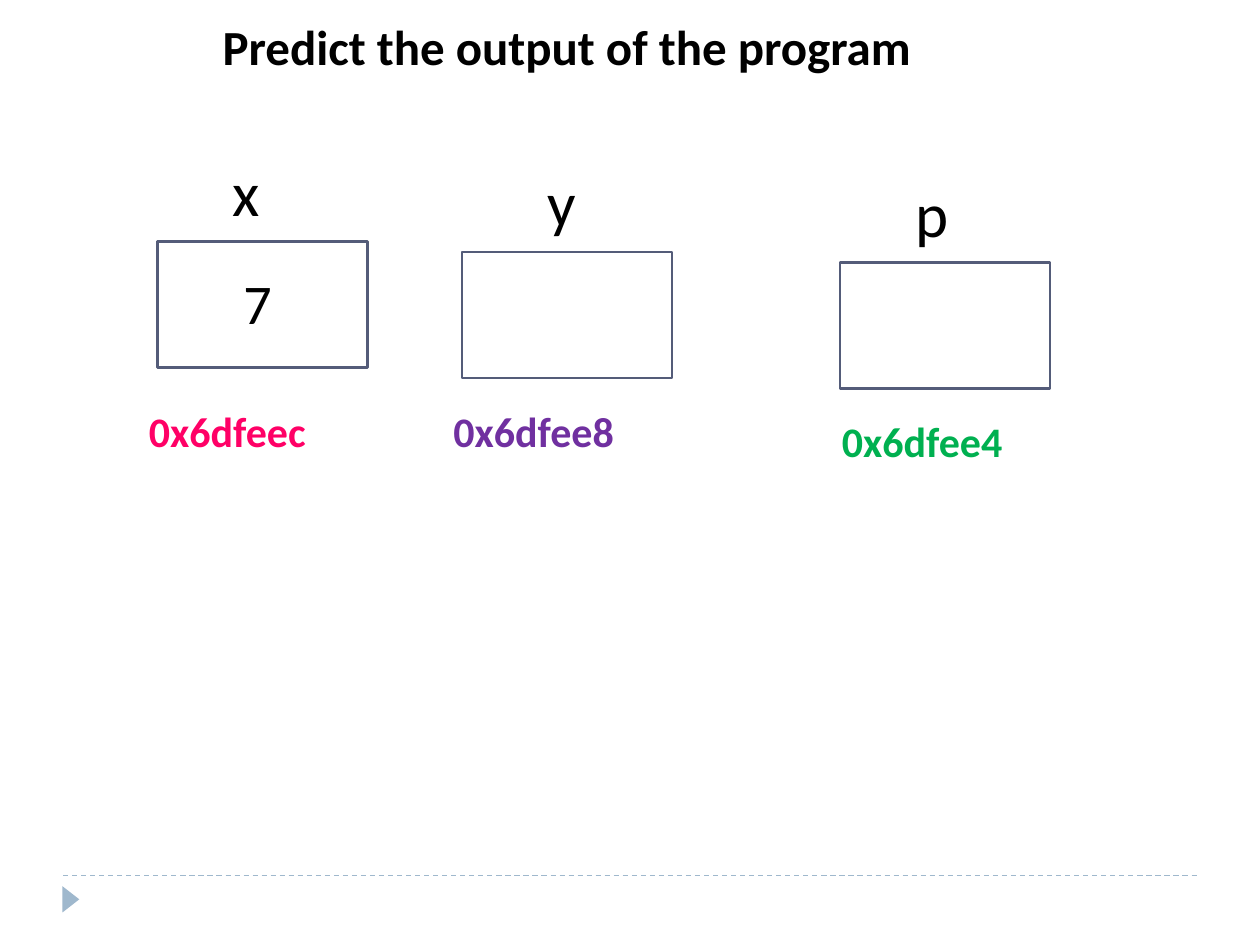
from pptx import Presentation
from pptx import util as u
from pptx.dml.color import RGBColor
from pptx.enum import dml, shapes, text
from pptx.oxml.ns import qn
from lxml import etree

BLACK = RGBColor(0x00, 0x00, 0x00)
OUTLINE = RGBColor(0x54, 0x5C, 0x79)
FOOTER = RGBColor(0x9F, 0xB8, 0xCD)
PINK = RGBColor(0xFF, 0x00, 0x66)
PURPLE = RGBColor(0x70, 0x30, 0xA0)
GREEN = RGBColor(0x00, 0xB0, 0x50)

prs = Presentation()
prs.slide_width, prs.slide_height = u.Inches(10), u.Inches(7.5)
slide = prs.slides.add_slide(prs.slide_layouts[5])  # Title Only
CELL = prs.slide_width / 120  # the slide is a grid of 120 columns by 90 rows


def grid(*cells):
    return [u.Emu(round(n * CELL)) for n in cells]


def write(holder, wording, size, color=BLACK, bold=False, align=text.PP_ALIGN.LEFT):
    frame = holder.text_frame
    frame.word_wrap = True
    frame.auto_size = text.MSO_AUTO_SIZE.NONE
    frame.vertical_anchor = text.MSO_ANCHOR.TOP
    frame.text = wording
    paragraph = frame.paragraphs[0]
    paragraph.alignment = align
    look = {"name": "Calibri", "size": u.Pt(size), "bold": bold}
    for attribute, value in look.items():
        setattr(paragraph.font, attribute, value)
    paragraph.font.color.rgb = color


# Footer rule and marker
rule = slide.shapes.add_connector(
    shapes.MSO_CONNECTOR.STRAIGHT, *grid(6, 83.4, 114, 83.4))
rule.line.color.rgb = FOOTER
rule.line.width = u.Pt(0.75)
rule.line.dash_style = dml.MSO_LINE.DASH
etree.SubElement(rule._element.spPr, qn("a:effectLst"))

marker = slide.shapes.add_shape(
    shapes.MSO_SHAPE.ISOSCELES_TRIANGLE, *grid(5.5, 84.85, 2.5, 1.6))
marker.rotation = 90
marker.shadow.inherit = False
marker.fill.solid()
marker.fill.fore_color.rgb = FOOTER
marker.line.fill.background()

# Title
title = slide.shapes.title
title.left, title.top, title.width, title.height = grid(20, 1, 83, 6.9)
write(title, "Predict the output of the program", 28, bold=True)

# Each variable: name, its column, width and alignment; box column and row;
# address, its column, row and colour
LEFT, CENTER = text.PP_ALIGN.LEFT, text.PP_ALIGN.CENTER
variables = [
    ("x", 21, 17, LEFT, 15, 23, "0x6dfeec", 13, 38, PINK),
    ("y", 46, 15, CENTER, 44, 24, "0x6dfee8", 42, 38, PURPLE),
    ("p", 86, 17, LEFT, 80, 25, "0x6dfee4", 79, 39, GREEN),
]
for (name, name_col, name_width, align, box_col, box_row,
     address, address_col, address_row, color) in variables:
    memory = slide.shapes.add_shape(
        shapes.MSO_SHAPE.RECTANGLE, *grid(box_col, box_row, 20, 12))
    memory.shadow.inherit = False
    memory.fill.background()
    memory.line.color.rgb = OUTLINE
    memory.line.width = u.Pt(1.5)

    label = slide.shapes.add_textbox(*grid(name_col, box_row - 9, name_width, 8.5))
    write(label, name, 36, align=align)

    location = slide.shapes.add_textbox(*grid(address_col, address_row, 21, 6))
    write(location, address, 24, color, bold=True)

x_value = slide.shapes.add_textbox(*grid(22, 25, 11, 7.7))
write(x_value, "7", 32)

prs.save("out.pptx")
